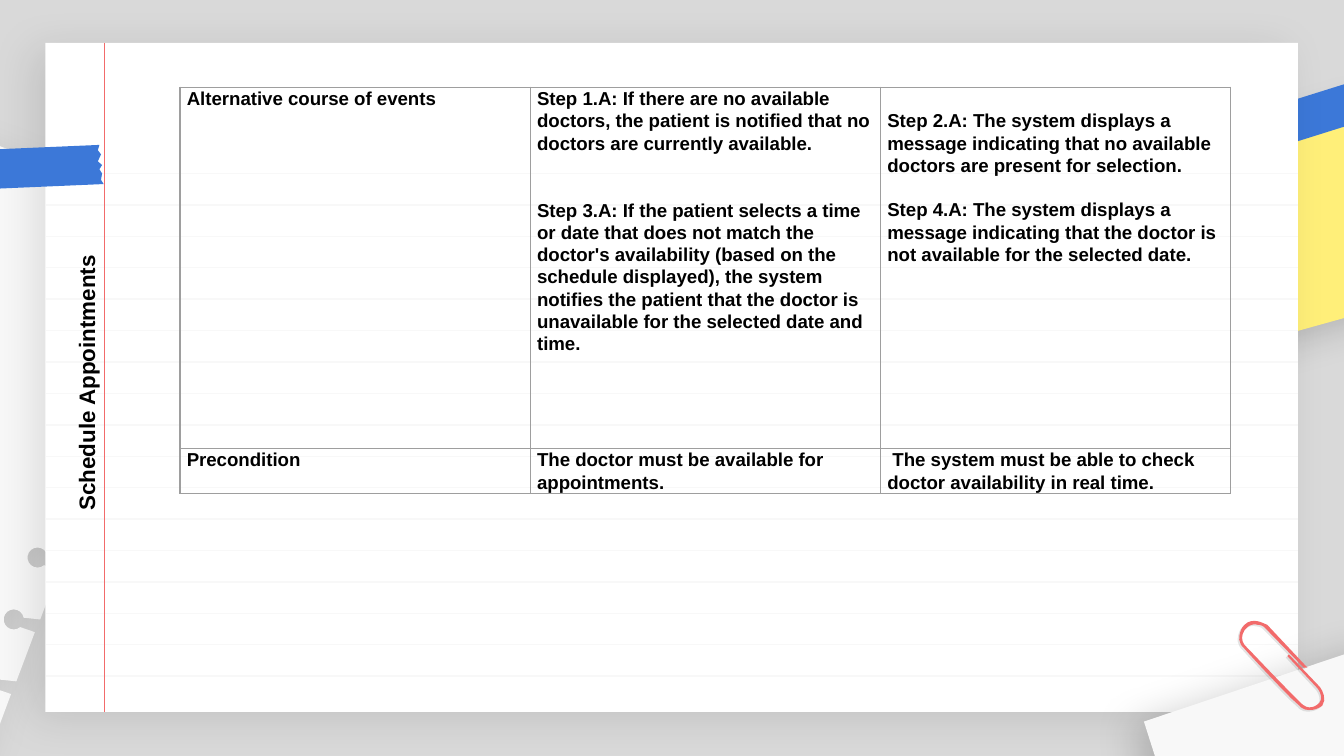
"""Build the Schedule Appointments slide."""
import dataclasses
import math

import pptx
import pptx.dml.color
import pptx.enum.shapes
import pptx.enum.text
import pptx.oxml
import pptx.oxml.ns
import pptx.util


@dataclasses.dataclass(frozen=True)
class Theme:
    """Colours, font and type sizes."""
    back: str = "D9D9D9"
    sheet: str = "FFFFFF"
    pale: str = "F8F8F8"
    note: str = "FFEF79"
    tape: str = "3C78D8"
    red: str = "F26B6B"
    ink: str = "000000"
    grid: str = "9E9E9E"
    font: str = "Arial"
    head: int = 12
    text: int = 10
    rule: float = 0.75


THEME = Theme()
LEFT, TOP, WIDTH, HEIGHT = 0.86, 0.81, 23.67, 12.65
NOTE = [(23.06, 2.74), (24.08, 6.38), (28.65, 5.11), (27.64, 1.47)]
STRIP = [(24.05, 2.82), (23.85, 2.08), (26.34, 1.3), (26.57, 2.03)]
TORN = [(-0.36, 3.58), (-0.46, 2.84), (1.88, 2.74), (1.85, 2.84), (1.91, 2.92),
        (1.85, 3.05), (1.93, 3.12), (1.88, 3.2), (1.93, 3.28), (1.91, 3.4), (1.96, 3.48)]
CORNER = [(26.09, 12.14), (27.28, 15.72), (22.76, 17.22), (21.62, 13.64)]
CARD = [(-0.61, 15.32), (-0.94, 16.15), (-9.61, 12.85), (-10.03, 11.94),
        (-5.97, 1.24), (-5.08, 0.84), (3.63, 4.14)]
CLIP = [(23.83, 11.76),
        (23.75, 11.73, 23.62, 11.71, 23.52, 11.81),
        (23.44, 11.89, 23.42, 11.99, 23.42, 12.09),
        (23.44, 12.14, 23.44, 12.19, 23.5, 12.24),
        (23.52, 12.27, 24.43, 13.26, 24.56, 13.34),
        (24.59, 13.39, 24.64, 13.39, 24.66, 13.41),
        (24.79, 13.44, 24.89, 13.41, 24.99, 13.34),
        (25.1, 13.18, 24.94, 12.98, 24.94, 12.98),
        (24.36, 12.37), (24.33, 12.4), (24.89, 13),
        (24.92, 13.03, 25.02, 13.18, 24.94, 13.28),
        (24.87, 13.36, 24.77, 13.39, 24.69, 13.36),
        (24.66, 13.34, 24.64, 13.34, 24.61, 13.31),
        (24.49, 13.21, 23.57, 12.24, 23.52, 12.19),
        (23.44, 12.09, 23.47, 11.94, 23.57, 11.86),
        (23.62, 11.81, 23.7, 11.79, 23.77, 11.81),
        (23.83, 11.81, 23.88, 11.84, 23.9, 11.86),
        (24.64, 12.62), (24.71, 12.62), (23.95, 11.81)]
ROWS = [
    [["Alternative course of events"],
     ["Step 1.A: If there are no available doctors, the patient is notified that no "
      "doctors are currently available.",
      "Step 3.A: If the patient selects a time or date that does not match the doctor's "
      "availability (based on the schedule displayed), the system notifies the patient "
      "that the doctor is unavailable for the selected date and time."],
     ["Step 2.A: The system displays a message indicating that no available doctors "
      "are present for selection.",
      "Step 4.A: The system displays a message indicating that the doctor is not "
      "available for the selected date."]],
    [["Precondition"],
     ["The doctor must be available for appointments."],
     [" The system must be able to check doctor availability in real time."]],
]


def tint(code):
    """Return a colour from its hex code."""
    return pptx.dml.color.RGBColor.from_string(code)


def node(inner):
    """Return an XML element in the drawing namespace."""
    tag, rest = inner.split(" ", 1)
    return pptx.oxml.parse_xml(f"<a:{tag} {pptx.oxml.ns.nsdecls('a')} {rest}")


def paint(shape, code, shade=0, alpha=100):
    """Fill a shape, with a soft shadow of the given strength."""
    shape.fill.solid()
    shape.fill.fore_color.rgb = tint(code)
    shape.line.fill.background()
    shape.shadow.inherit = False
    props = shape._element.spPr
    if alpha < 100:
        color = props.find(".//" + pptx.oxml.ns.qn("a:srgbClr"))
        color.append(node(f'alpha val="{alpha * 1000}"/>'))
    if shade:
        props.find(pptx.oxml.ns.qn("a:effectLst")).append(node(
            f'outerShdw blurRad="{pptx.util.Pt(22.5)}" dist="{pptx.util.Pt(7.5)}" '
            f'dir="{150 * 60000}" algn="bl" rotWithShape="0"><a:srgbClr val="{THEME.ink}">'
            f'<a:alpha val="{shade * 1000}"/></a:srgbClr></a:outerShdw>'))


def patch(slide, points, code, **look):
    """Add a closed outline through the points."""
    spots = [(pptx.util.Cm(x), pptx.util.Cm(y)) for x, y in points]
    pen = slide.shapes.build_freeform(*spots[0], scale=1.0)
    pen.add_line_segments(spots[1:], close=True)
    paint(pen.convert_to_shape(), code, **look)


def trace(steps, count=5):
    """Turn line and curve steps into points."""
    points = []
    for step in steps:
        if len(step) == 2:
            points.append(step)
            continue
        curve = [points[-1], step[:2], step[2:4], step[4:]]
        for part in range(1, count + 1):
            t = part / count
            mix = [math.comb(3, k) * t ** k * (1 - t) ** (3 - k) for k in range(4)]
            points.append(tuple(sum(m * p[axis] for m, p in zip(mix, curve))
                                for axis in (0, 1)))
    return points


def knob(x, y, radius=0.19):
    """Return the points of one round notch and its stem."""
    turns = [math.radians(-10 - 20 * step) for step in range(16)]
    ring = [(x + radius * math.cos(a), y + radius * math.sin(a)) for a in turns]
    return [(x + 0.5, y), *ring, (x + 0.4, y + 0.24)]


def rule(slide, start, end, code):
    """Add a thin straight line."""
    line = slide.shapes.add_connector(pptx.enum.shapes.MSO_CONNECTOR.STRAIGHT,
                                      *(pptx.util.Cm(v) for v in (*start, *end)))
    line.line.color.rgb = tint(code)
    line.line.width = pptx.util.Pt(THEME.rule)
    line._element.spPr.append(node("effectLst />"))


def paper(slide):
    """Add the ruled sheet with its red margin."""
    sheet = slide.shapes.add_shape(pptx.enum.shapes.MSO_SHAPE.RECTANGLE,
                                   *(pptx.util.Cm(v) for v in (LEFT, TOP, WIDTH, HEIGHT)))
    paint(sheet, THEME.sheet, shade=10)
    for index in range(17):
        y = 3.28 + index * 9.5 / 16
        rule(slide, (LEFT, y), (LEFT + WIDTH, y), THEME.pale)
    rule(slide, (1.98, TOP), (1.98, TOP + HEIGHT), THEME.red)


def write(para, text, size):
    """Add one bold run to a paragraph."""
    run = para.add_run()
    run.text = text
    run.font.name = THEME.font
    run.font.size = pptx.util.Pt(size)
    run.font.bold = True
    run.font.color.rgb = tint(THEME.ink)


def title(slide, text):
    """Turn the title sideways along the margin."""
    box = slide.shapes.title
    box.left, box.top, box.width, box.height = (
        pptx.util.Cm(v) for v in (-3.96, 6.86, 11.18, 0.76))
    box.rotation = 270
    frame = box.text_frame
    frame.auto_size = pptx.enum.text.MSO_AUTO_SIZE.NONE
    frame.vertical_anchor = pptx.enum.text.MSO_ANCHOR.MIDDLE
    frame.paragraphs[0].alignment = pptx.enum.text.PP_ALIGN.CENTER
    write(frame.paragraphs[0], text, THEME.head)
    slide.shapes._spTree.append(box._element)


def fill(cell, texts, top, gap):
    """Border a clear cell and write its paragraphs."""
    props = cell._tc.get_or_add_tcPr()
    for side in "LRTB":
        props.append(node(f'ln{side} w="{pptx.util.Pt(THEME.rule)}"><a:solidFill>'
                          f'<a:srgbClr val="{THEME.grid}"/></a:solidFill></a:ln{side}>'))
    cell.fill.background()
    cell.margin_left = cell.margin_right = pptx.util.Cm(0.13)
    cell.margin_top, cell.margin_bottom = pptx.util.Cm(top), 0
    for index, text in enumerate(texts):
        para = cell.text_frame.add_paragraph() if index else cell.text_frame.paragraphs[0]
        para.line_spacing = 1.07
        para.space_before = pptx.util.Pt(gap if index else 0)
        write(para, text, THEME.text)


def table(slide):
    """Add the table of events and conditions."""
    frame = slide.shapes.add_table(2, 3, *(pptx.util.Cm(v) for v in (3.4, 1.65, 19.86, 7.64)))
    grid = frame.table
    grid.first_row = grid.horz_banding = False
    for col in grid.columns:
        col.width = pptx.util.Cm(6.62)
    for row, height in zip(grid.rows, (6.83, 0.81)):
        row.height = pptx.util.Cm(height)
    for r, row in enumerate(ROWS):
        for c, texts in enumerate(row):
            last = (r, c) == (0, 2)
            fill(grid.cell(r, c), texts, 0.42 if last else 0, 12 if last else 24)


def main():
    """Build and save the slide."""
    deck = pptx.Presentation()
    deck.slide_width, deck.slide_height = pptx.util.Cm(25.4), pptx.util.Cm(14.29)
    slide = deck.slides.add_slide(deck.slide_layouts[5])
    slide.background.fill.solid()
    slide.background.fill.fore_color.rgb = tint(THEME.back)
    patch(slide, NOTE, THEME.note, shade=20)
    patch(slide, STRIP, THEME.tape)
    knobs = [knob(0.71 - 0.45 * step, 10.54 + 1.17 * step) for step in range(3)]
    patch(slide, CARD + sum(knobs, []), THEME.pale, shade=10)
    paper(slide)
    patch(slide, CORNER, THEME.pale, shade=20)
    clip = trace(CLIP)
    patch(slide, [(x - 0.03, y + 0.03) for x, y in clip], THEME.ink, alpha=10)
    patch(slide, clip, THEME.red)
    patch(slide, TORN, THEME.tape)
    title(slide, "Schedule Appointments")
    table(slide)
    deck.save("out.pptx")


if __name__ == "__main__":
    main()
